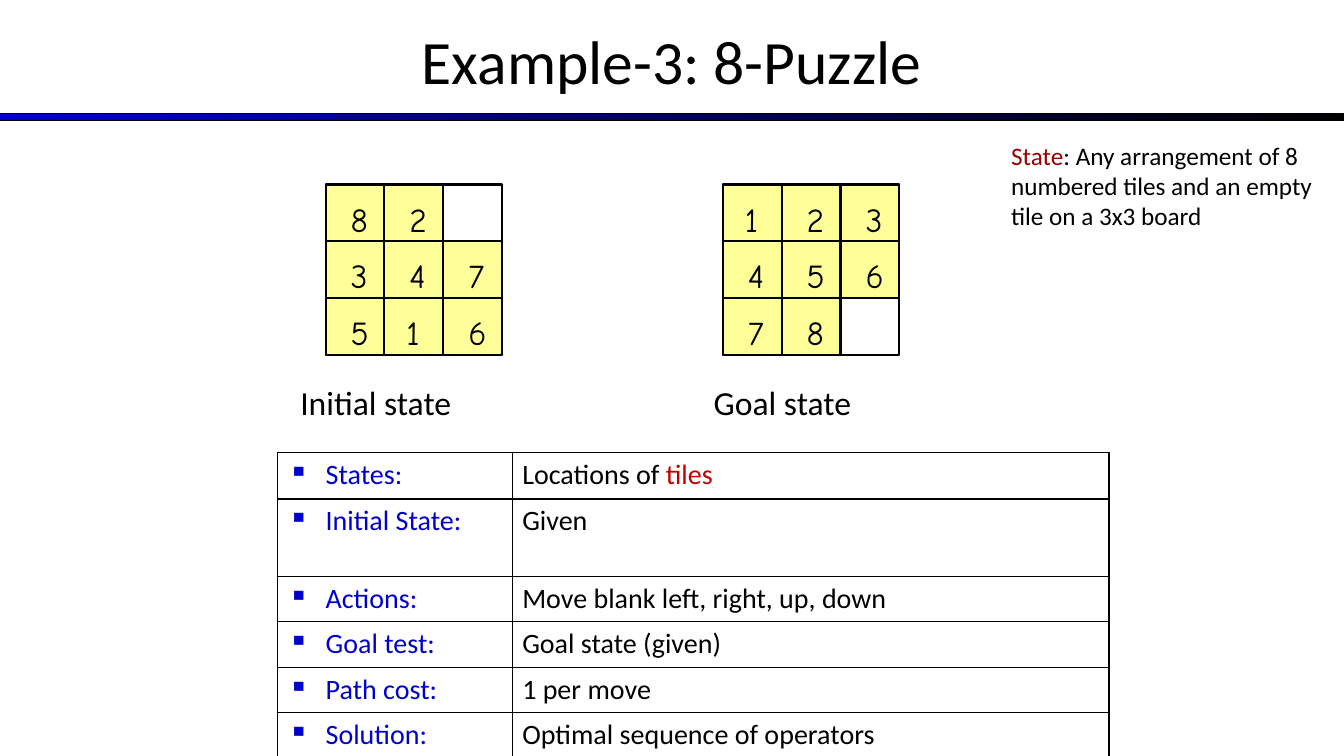
from lxml import etree
from pptx import Presentation
from pptx import util as u
from pptx.dml.color import RGBColor
from pptx.enum import shapes, text
from pptx.oxml.ns import qn

BLACK, BLUE, YELLOW, WHITE = "000000", "0000CC", "FFFF99", "FFFFFF"
TITLE_BOX = (0, -0.03, 13.33, 1.25)
RULE_BOX = (0, 1.13, 13.33, 0.07)
NOTE_BOX = (9.93, 1.34, 3.23, 1.3)
TABLE_BOX = (2.75, 4.49, 8.25, 3.01)
BOARD_TOP, BOARD_W, BOARD_H = 1.83, 1.75, 1.69
BOARDS = [
    (3.23, ["82 ", "347", "516"], "Initial state", -0.35, 2.07),
    (7.17, ["123", "456", "78 "], "Goal state", -0.19, 1.91),
]
NOTE = [("State", "990000"),
        (": Any arrangement of 8 numbered tiles and an empty tile on a 3x3 board", BLACK)]
COLUMN_WIDTHS = [2.33, 5.92]
ROWS = [
    (0.46, "States:", [("Locations of ", BLACK), ("tiles", "C00000")]),
    (0.77, "Initial State:", [("Given", BLACK)]),
    (0.45, "Actions:", [("Move blank left, right, up, down", BLACK)]),
    (0.45, "Goal test:", [("Goal state (given)", BLACK)]),
    (0.45, "Path cost:", [("1 per move", BLACK)]),
    (0.45, "Solution:", [("Optimal sequence of operators", BLACK)]),
]


def rgb(color):
    """Turn a hex string into a colour."""
    return RGBColor.from_string(color)


def inches(box):
    """Turn a box of numbers into lengths."""
    return [u.Inches(v) for v in box]


def write(p, runs, size=20, font="Calibri", align=None):
    """Write (text, colour) runs into a paragraph."""
    p.alignment = align
    for words, color in runs:
        r = p.add_run()
        r.text = words
        r.font.size, r.font.name = u.Pt(size), font
        r.font.color.rgb = rgb(color)


def add_text(parent, box, runs, wrap=True, anchor=text.MSO_ANCHOR.TOP, **fmt):
    """Add a text box with one paragraph."""
    tf = parent.add_textbox(*inches(box)).text_frame
    tf.word_wrap, tf.vertical_anchor = wrap, anchor
    write(tf.paragraphs[0], runs, **fmt)


def add_rect(parent, box, fill=None, width=1.5):
    """Add a black-outlined rectangle."""
    sp = parent.add_shape(shapes.MSO_SHAPE.RECTANGLE, *inches(box))
    sp.shadow.inherit = False
    sp.line.color.rgb, sp.line.width = rgb(BLACK), u.Pt(width)
    if fill:
        sp.fill.solid()
        sp.fill.fore_color.rgb = rgb(fill)
    else:
        sp.fill.background()
    return sp


def add_header(s, title_box, rule_box):
    """Add the title and the gradient rule below it."""
    fill = add_rect(s.shapes, rule_box, width=0.75).fill
    fill.gradient()
    fill.gradient_angle = 0
    for stop, position, color in zip(fill.gradient_stops, (0, 1), (BLUE, BLACK)):
        stop.position, stop.color.rgb = position, rgb(color)
    add_text(s.shapes, title_box, [("Example-3: 8-Puzzle", BLACK)], size=44,
             anchor=text.MSO_ANCHOR.MIDDLE, align=text.PP_ALIGN.CENTER)


def add_board(s, box, rows, label, label_dx, label_w):
    """Add a puzzle board with its tiles, digits and label."""
    x, y, w, h = box
    tile_w, tile_h = w / 3, h / 3
    board = s.shapes.add_group_shape().shapes
    add_rect(board, box)
    tiles = [(digit, x + col * tile_w, y + row * tile_h)
             for row, digits in enumerate(rows)
             for col, digit in enumerate(digits) if digit != " "]
    for _, left, top in tiles:
        add_rect(board, (left, top, tile_w, tile_h), YELLOW)
    for digit, left, top in tiles:
        dx = 0.12 if digit == "1" else 0.15
        add_text(board, (left + dx, top + 0.09, 0.34, 0.5), [(digit, BLACK)],
                 wrap=False, size=24, font="Comic Neue")
    add_text(board, (x + label_dx, y + 1.91, label_w, 0.5), [(label, BLACK)], size=24)


def add_bullet(p):
    """Give a paragraph a hanging square bullet."""
    pPr = p._p.get_or_add_pPr()
    pPr.set("marL", str(u.Inches(0.38)))
    pPr.set("indent", str(u.Inches(-0.37)))
    color = etree.SubElement(pPr, qn("a:buClr"))
    etree.SubElement(color, qn("a:srgbClr"), val=BLUE)
    etree.SubElement(pPr, qn("a:buChar"), char="▪")


def style_cell(cell):
    """Give a cell black borders and a white fill."""
    tcPr = cell._tc.get_or_add_tcPr()
    for side in ("lnL", "lnR", "lnT", "lnB"):
        ln = etree.SubElement(tcPr, qn("a:" + side), w=str(u.Pt(1)))
        fill = etree.SubElement(ln, qn("a:solidFill"))
        etree.SubElement(fill, qn("a:srgbClr"), val=BLACK)
    cell.fill.solid()
    cell.fill.fore_color.rgb = rgb(WHITE)


def add_problem_table(s, box):
    """Add the table that defines the search problem."""
    table = s.shapes.add_table(len(ROWS), 2, *inches(box)).table
    table.first_row = table.horz_banding = False
    for column, width in zip(table.columns, COLUMN_WIDTHS):
        column.width = u.Inches(width)
    for row, (height, term, meaning) in zip(table.rows, ROWS):
        row.height = u.Inches(height)
        for cell, runs in zip(row.cells, ([(term, BLUE)], meaning)):
            style_cell(cell)
            write(cell.text_frame.paragraphs[0], runs)
        add_bullet(row.cells[0].text_frame.paragraphs[0])


def main():
    """Build and save the slide."""
    prs = Presentation()
    prs.slide_width, prs.slide_height = u.Inches(13.33), u.Inches(7.5)
    s = prs.slides.add_slide(prs.slide_layouts[6])
    add_header(s, TITLE_BOX, RULE_BOX)
    for left, *details in BOARDS:
        add_board(s, (left, BOARD_TOP, BOARD_W, BOARD_H), *details)
    add_text(s.shapes, NOTE_BOX, NOTE, size=18)
    add_problem_table(s, TABLE_BOX)
    prs.save("out.pptx")


if __name__ == "__main__":
    main()
